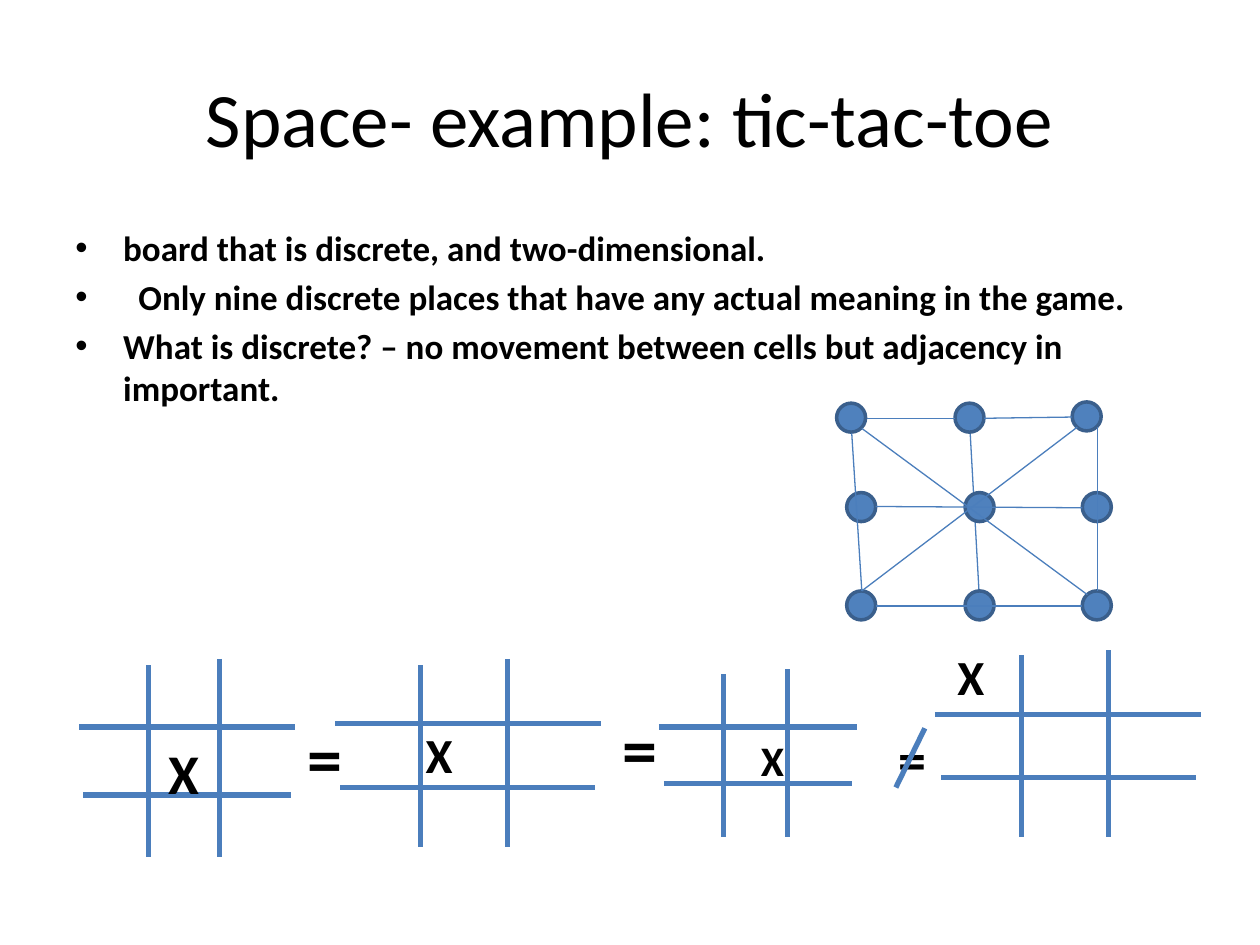
from dataclasses import dataclass

from pptx import Presentation
from pptx.dml.color import RGBColor
from pptx.enum import shapes, text
from pptx.oxml import ns
from pptx.shapes.shapetree import _BaseGroupShapes as ShapeContainer
from pptx.text.text import TextFrame
from pptx.util import Inches, Pt
from lxml import etree

BLACK = RGBColor(0x00, 0x00, 0x00)
LINE_BLUE = RGBColor(0x4B, 0x7E, 0xBC)
NODE_BLUE = RGBColor(0x4F, 0x81, 0xBD)
NODE_BORDER = RGBColor(0x3A, 0x5F, 0x8C)
FONT = "Calibri"
NODE_SIZE = 0.23
EDGE_WIDTH = 0.75
BOARD_WIDTH = 3


@dataclass(frozen=True)
class Symbol:
    value: str
    left: float
    top: float
    width: float
    height: float
    size: int


@dataclass(frozen=True)
class Board:
    columns: tuple[float, float]
    tops: tuple[float, float]
    bottom: float
    rows: tuple[float, float]
    spans: tuple[tuple[float, float], tuple[float, float]]
    mark: Symbol


@dataclass(frozen=True)
class Bullet:
    value: str
    indent: float = 0.38


BULLETS = (
    Bullet("board that is discrete, and two-dimensional."),
    Bullet("Only nine discrete places that have any actual meaning in the game.", 0.5),
    Bullet("What is discrete? – no movement between cells but adjacency in important."),
)
BOARDS = (
    Board((1.18, 1.74), (5.28, 5.23), 6.8, (5.77, 6.31),
          ((0.63, 2.34), (0.66, 2.31)), Symbol("X", 1.24, 5.81, 0.45, 0.64, 32)),
    Board((3.34, 4.03), (5.28, 5.23), 6.72, (5.74, 6.25),
          ((2.66, 4.77), (2.7, 4.72)), Symbol("X", 3.28, 5.7, 0.41, 0.57, 28)),
    Board((5.74, 6.25), (5.35, 5.31), 6.64, (5.77, 6.22),
          ((5.23, 6.8), (5.27, 6.76)), Symbol("X", 5.94, 5.78, 0.39, 0.5, 24)),
    Board((8.11, 8.8), (5.2, 5.16), 6.64, (5.67, 6.17),
          ((7.42, 9.53), (7.47, 9.49)), Symbol("X", 7.5, 5.08, 0.41, 0.57, 28)),
)
EQUALS_SIGNS = (
    Symbol("=", 2.34, 5.62, 0.48, 0.77, 40),
    Symbol("=", 4.84, 5.55, 0.48, 0.77, 40),
    Symbol("=", 7.03, 5.7, 0.43, 0.64, 32),
)
NODES = (
    (6.64, 3.2), (7.58, 3.2), (8.51, 3.19),
    *((left, top) for top in (3.91, 4.69) for left in (6.72, 7.66, 8.59)),
)
MIDDLE_COLUMN_EDGE = (7.7, 3.44, 7.77, 4.69)
EDGES = (
    (6.88, 3.32, 7.58, 3.32),
    (7.81, 3.32, 8.51, 3.31),
    (6.84, 3.4, 8.63, 4.72),
    (6.84, 4.69, 8.55, 3.39),
    (6.76, 3.44, 6.84, 4.69),
    (6.95, 4.81, 8.59, 4.81),
    (8.71, 3.39, 8.71, 4.69),
    (6.95, 4.02, 8.59, 4.03),
)


def format_runs(frame: TextFrame, size: int, bold: bool) -> None:
    for paragraph in frame.paragraphs:
        for run in paragraph.runs:
            run.font.name = FONT
            run.font.size = Pt(size)
            run.font.bold = bold
            run.font.color.rgb = BLACK


def add_line(container: ShapeContainer, ends: tuple[float, ...], width: float) -> None:
    connector = container.add_connector(
        shapes.MSO_CONNECTOR.STRAIGHT, *(Inches(value) for value in ends))
    connector.line.color.rgb = LINE_BLUE
    connector.line.width = Pt(width)
    etree.SubElement(connector._element.spPr, ns.qn("a:effectLst"))


def add_text_box(container: ShapeContainer, left: float, top: float,
                 width: float, height: float, wrap: bool) -> TextFrame:
    box = container.add_textbox(Inches(left), Inches(top), Inches(width), Inches(height))
    box.text_frame.word_wrap = wrap
    return box.text_frame


def add_symbol(container: ShapeContainer, symbol: Symbol) -> None:
    frame = add_text_box(container, symbol.left, symbol.top,
                         symbol.width, symbol.height, False)
    frame.text = symbol.value
    format_runs(frame, symbol.size, True)


def add_board(container: ShapeContainer, board: Board) -> None:
    for x, top in zip(board.columns, board.tops):
        add_line(container, (x, top, x, board.bottom), BOARD_WIDTH)
    for y, (left, right) in zip(board.rows, board.spans):
        add_line(container, (left, y, right, y), BOARD_WIDTH)
    add_symbol(container, board.mark)


def add_node(container: ShapeContainer, left: float, top: float) -> None:
    node = container.add_shape(shapes.MSO_SHAPE.OVAL, Inches(left), Inches(top),
                               Inches(NODE_SIZE), Inches(NODE_SIZE))
    node.shadow.inherit = False
    node.fill.solid()
    node.fill.fore_color.rgb = NODE_BLUE
    node.line.color.rgb = NODE_BORDER
    node.line.width = Pt(2)


def add_title(container: ShapeContainer) -> None:
    frame = add_text_box(container, 0.5, 0.3, 9, 1.25, True)
    frame.text = "Space- example: tic-tac-toe"
    frame.vertical_anchor = text.MSO_ANCHOR.MIDDLE
    frame.paragraphs[0].alignment = text.PP_ALIGN.CENTER
    format_runs(frame, 44, False)


def add_bullets(container: ShapeContainer) -> None:
    frame = add_text_box(container, 0.5, 1.75, 9, 2.23, True)
    frame.text = "\n".join(bullet.value for bullet in BULLETS)
    for paragraph, bullet in zip(frame.paragraphs, BULLETS):
        paragraph.space_before = Pt(4)
        properties = paragraph._p.get_or_add_pPr()
        properties.set("marL", str(Inches(bullet.indent)))
        properties.set("indent", str(-Inches(bullet.indent)))
        etree.SubElement(properties, ns.qn("a:buFont"), typeface="Arial")
        etree.SubElement(properties, ns.qn("a:buChar"), char="•")
    format_runs(frame, 20, True)


def main() -> None:
    presentation = Presentation()
    presentation.slide_width = Inches(10)
    presentation.slide_height = Inches(7.5)
    slide = presentation.slides.add_slide(presentation.slide_layouts[6])

    add_line(slide.shapes, MIDDLE_COLUMN_EDGE, EDGE_WIDTH)
    add_title(slide.shapes)
    add_bullets(slide.shapes)

    comparison = slide.shapes.add_group_shape().shapes
    for board in BOARDS:
        add_board(comparison, board)
    for sign in EQUALS_SIGNS:
        add_symbol(comparison, sign)
    add_line(comparison, (7.34, 5.78, 7.11, 6.25), BOARD_WIDTH)

    for left, top in NODES:
        add_node(slide.shapes, left, top)
    for edge in EDGES:
        add_line(slide.shapes, edge, EDGE_WIDTH)

    presentation.save("out.pptx")


if __name__ == "__main__":
    main()
